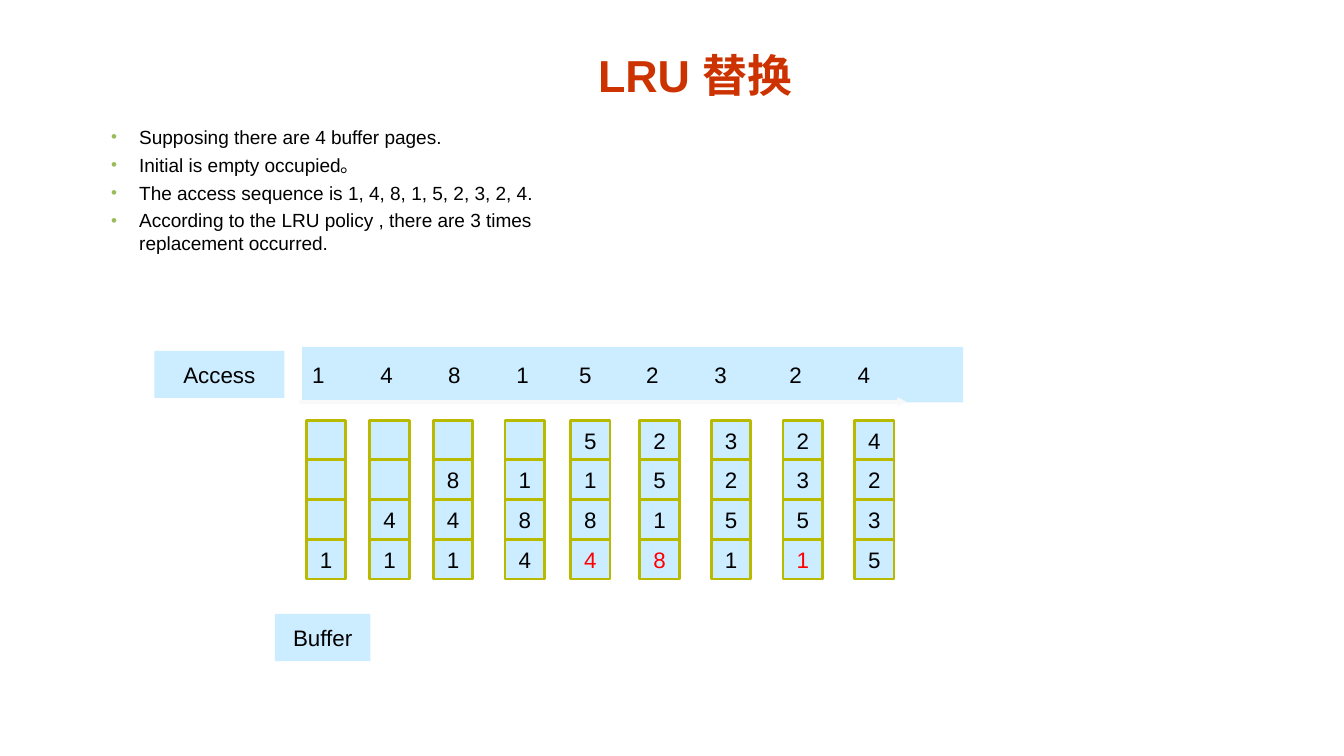
from lxml import etree
from pptx import Presentation
from pptx.dml.color import RGBColor
from pptx.enum.shapes import MSO_CONNECTOR, MSO_SHAPE
from pptx.enum.text import MSO_ANCHOR, PP_ALIGN
from pptx.oxml.ns import qn
from pptx.util import Cm, Pt

RECT = MSO_SHAPE.RECTANGLE
LINE = MSO_CONNECTOR.STRAIGHT
MID, LOW = MSO_ANCHOR.MIDDLE, MSO_ANCHOR.BOTTOM
LEFT, CENTER = PP_ALIGN.LEFT, PP_ALIGN.CENTER


class Theme:
    font = "Arial"
    head = RGBColor(0xCC, 0x33, 0x00)
    ink = RGBColor(0, 0, 0)
    alert = RGBColor(0xFF, 0, 0)
    fill = RGBColor(0xCC, 0xEC, 0xFF)
    edge = RGBColor(0xB9, 0xB9, 0x00)
    pale = RGBColor(0xF9, 0xF9, 0xF9)
    dot = "9BBB59"
    large, small, label = Pt(32), Pt(13.6), Pt(16)


def style(para, size, color, align=LEFT):
    para.alignment = align
    for run in para.runs:
        run.font.name = Theme.font
        run.font.size = size
        run.font.color.rgb = color


def block(x, y, w, h, text, color=Theme.ink, align=CENTER):
    box = slide.shapes.add_shape(RECT, Cm(x), Cm(y), Cm(w), Cm(h))
    box.shadow.inherit = False
    box.fill.solid()
    box.fill.fore_color.rgb = Theme.fill
    box.line.fill.background()
    frame = box.text_frame
    frame.vertical_anchor = MID
    frame.text = text
    style(frame.paragraphs[0], Theme.label, color, align)
    return box


deck = Presentation()
deck.slide_width, deck.slide_height = Cm(33.88), Cm(19.05)
slide = deck.slides.add_slide(deck.slide_layouts[6])

title = slide.shapes.add_textbox(Cm(7.06), Cm(0.86), Cm(20.93), Cm(1.7))
frame = title.text_frame
frame.word_wrap = True
frame.vertical_anchor = LOW
frame.margin_left = frame.margin_right = 0
frame.margin_top = frame.margin_bottom = 0
frame.text = "LRU 替换"
style(frame.paragraphs[0], Theme.large, Theme.head, CENTER)
frame.paragraphs[0].runs[0].font.bold = True

notes = [
    "Supposing there are 4 buffer pages.",
    "Initial is empty occupied。",
    "The access sequence is 1, 4, 8, 1, 5, 2, 3, 2, 4.",
    "According to the LRU policy , there are 3 times replacement occurred.",
]
body = slide.shapes.add_textbox(Cm(2.24), Cm(3.04), Cm(13.79), Cm(3.56))
frame = body.text_frame
frame.word_wrap = True
frame.text = "\n".join(notes)
for i, para in enumerate(frame.paragraphs):
    props = para._p.get_or_add_pPr()
    props.set("marL", str(Cm(1.02)))
    props.set("indent", str(Cm(-0.71)))
    tint = etree.SubElement(props, qn("a:buClr"))
    etree.SubElement(tint, qn("a:srgbClr"), val=Theme.dot)
    etree.SubElement(props, qn("a:buSzPct"), val="90000")
    etree.SubElement(props, qn("a:buFont"), typeface=Theme.font)
    etree.SubElement(props, qn("a:buChar"), char="•")
    if i:
        para.space_before = Pt(3.5)
    style(para, Theme.small, Theme.ink)

block(3.89, 8.84, 3.28, 1.19, "Access")
block(6.93, 15.47, 2.41, 1.19, "Buffer")
access = block(7.62, 8.74, 16.66, 1.4, "\t".join("148152324"), align=LEFT)
props = access.text_frame.paragraphs[0]._p.get_or_add_pPr()
tabs = etree.SubElement(props, qn("a:tabLst"))
for stop in (1.72, 3.43, 5.15, 6.73, 8.42, 10.14, 12.03, 13.75):
    etree.SubElement(tabs, qn("a:tab"), pos=str(Cm(stop)), algn="l")

side, top = 1, 10.59
stacks = [
    (7.72, "   1", False),
    (9.32, "  41", False),
    (10.92, " 841", False),
    (12.73, " 184", False),
    (14.38, "5184", True),
    (16.13, "2518", True),
    (17.93, "3251", False),
    (19.74, "2351", True),
    (21.54, "4235", False),
]
for x, pages, evict in stacks:
    for row, page in enumerate(pages):
        color = Theme.alert if evict and row == 3 else Theme.ink
        cell = block(x, top + row * side, side, side, page.strip(), color)
        cell.line.color.rgb = Theme.edge
        cell.line.width = Pt(2)

arrow = slide.shapes.add_connector(LINE, Cm(7.54), Cm(10.13), Cm(22.86), Cm(10.13))
arrow.line.color.rgb = Theme.pale
arrow.line.width = Pt(2.25)
etree.SubElement(arrow.line._get_or_add_ln(), qn("a:tailEnd"), type="triangle")
etree.SubElement(arrow._element.spPr, qn("a:effectLst"))

deck.save("out.pptx")
